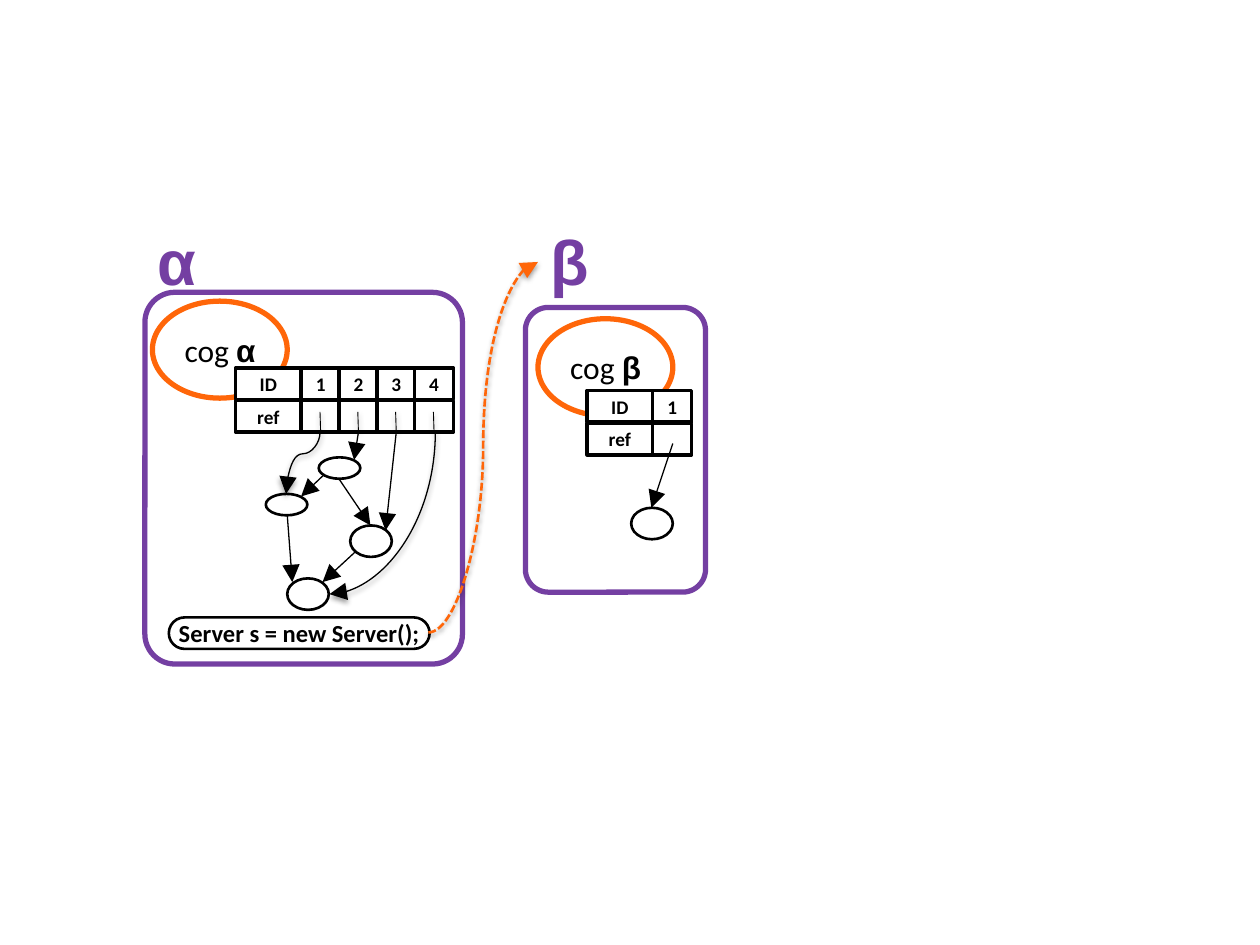
"""Build a slide of two object groups, alpha and beta, with their reference tables."""
from lxml import etree
from pptx import Presentation
from pptx.dml.color import RGBColor
from pptx.enum import dml, shapes, text
from pptx.oxml import parse_xml
from pptx.oxml.ns import nsdecls, qn
from pptx.util import Inches, Pt

COLORS = {"group": "743FA2", "cog": "FF6609", "ink": "000000", "paper": "FFFFFF"}
SHADOW = (
    f'<a:effectLst {nsdecls("a")}><a:outerShdw blurRad="39370" dist="20320" dir="5400000" rotWithShape="0">'
    '<a:srgbClr val="000000"><a:alpha val="38000"/></a:srgbClr></a:outerShdw></a:effectLst>'
)
NO_SHADOW = f'<a:effectLst {nsdecls("a")}/>'


class Diagram:
    def __init__(self, slide):
        self.slide = slide

    def color(self, name):
        return RGBColor.from_string(COLORS[name])

    def label(self, shape, runs, color="ink", align=text.PP_ALIGN.LEFT, wrap=False, **frame_format):
        frame = shape.text_frame
        settings = {"word_wrap": wrap, "vertical_anchor": text.MSO_ANCHOR.MIDDLE, **frame_format}
        for name, value in settings.items():
            setattr(frame, name, value)
        paragraph = frame.paragraphs[0]
        paragraph.alignment = align
        for words, font_name, size, bold in runs:
            run = paragraph.add_run()
            run.text = words
            for name, value in {"name": font_name, "size": Pt(size), "bold": bold}.items():
                setattr(run.font, name, value)
            run.font.color.rgb = self.color(color)

    def box(self, kind, left, top, width, height, line="ink", weight=1.5, corner=None):
        shape = self.slide.shapes.add_shape(
            kind, Inches(left), Inches(top), Inches(width), Inches(height))
        shape.shadow.inherit = False
        shape.fill.solid()
        shape.fill.fore_color.rgb = self.color("paper")
        shape.line.color.rgb = self.color(line)
        shape.line.width = Pt(weight)
        if corner is not None:
            shape.adjustments[0] = corner
        return shape

    def ellipse(self, *bounds, **style):
        return self.box(shapes.MSO_SHAPE.OVAL, *bounds, **style)

    def rounded(self, *bounds, **style):
        return self.box(shapes.MSO_SHAPE.ROUNDED_RECTANGLE, *bounds, **style)

    def group(self, *bounds, corner):
        self.rounded(*bounds, line="group", weight=3, corner=corner)

    def heading(self, letter, left, top, width, height):
        box = self.slide.shapes.add_textbox(
            Inches(left), Inches(top), Inches(width), Inches(height))
        self.label(box, [(letter, "Arial", 36, True)], "group",
                   vertical_anchor=text.MSO_ANCHOR.TOP,
                   auto_size=text.MSO_AUTO_SIZE.SHAPE_TO_FIT_TEXT)

    def cog(self, letter, left, top):
        shape = self.ellipse(left, top, 1.07, 0.77, line="cog", weight=3)
        self.label(shape, [("cog ", "Calibri", 18, False), (letter, "Arial", 18, True)])

    def cell(self, words, left, top, width):
        shape = self.box(shapes.MSO_SHAPE.RECTANGLE, left, top, width, 0.25, weight=2)
        if words:
            self.label(shape, [(words, "Calibri", 11, True)],
                       align=text.PP_ALIGN.CENTER, wrap=True)
        return shape

    def reference_table(self, left, top, count):
        self.cell("ID", left, top, 0.52)
        self.cell("ref", left, top + 0.26, 0.52)
        references = []
        for index in range(count):
            column = left + 0.52 + index * 0.3
            self.cell(str(index + 1), column, top, 0.31)
            references.append(self.cell("", column, top + 0.26, 0.31))
        return references

    def link(self, begin, end, kind=shapes.MSO_CONNECTOR.STRAIGHT, color="ink",
             weight=0.75, arrow=True, shadow=False, source=None):
        connector = self.slide.shapes.add_connector(
            kind, *(Inches(value) for value in (*begin, *end)))
        if source is not None:
            connector.begin_connect(source, 2)
        connector.line.color.rgb = self.color(color)
        connector.line.width = Pt(weight)
        if arrow:
            line = connector.line._get_or_add_ln()
            etree.SubElement(line, qn("a:tailEnd"), type="triangle", w="lg", len="lg")
        connector._element.spPr.append(parse_xml(SHADOW if shadow else NO_SHADOW))
        return connector

    def curve(self, begin, end, preset="curvedConnector3", bend=None, turned=False, **style):
        connector = self.link(begin, end, shapes.MSO_CONNECTOR.CURVE, shadow=True, **style)
        properties = connector._element.spPr
        geometry = properties.find(qn("a:prstGeom"))
        geometry.set("prst", preset)
        if bend is not None:
            guides = geometry.get_or_add_avLst()
            etree.SubElement(guides, qn("a:gd"), name="adj1", fmla=f"val {round(bend * 100000)}")
        if turned:
            properties.find(qn("a:xfrm")).set("rot", "5400000")
        return connector


def main():
    presentation = Presentation()
    presentation.slide_width, presentation.slide_height = Inches(10), Inches(7.5)
    diagram = Diagram(presentation.slides.add_slide(presentation.slide_layouts[6]))

    diagram.group(1.15, 2.32, 2.52, 2.95, corner=0.094)
    diagram.heading("α", 1.15, 1.72, 0.52, 0.71)
    diagram.group(4.17, 2.44, 1.43, 2.26, corner=0.127)
    diagram.heading("β", 4.27, 1.72, 0.48, 0.71)

    objects = [(2.11, 3.92, 0.17), (2.53, 3.63, 0.17), (2.78, 4.17, 0.25),
               (2.28, 4.59, 0.25), (5.01, 4.03, 0.25)]
    for left, top, height in objects:
        diagram.ellipse(left, top, 0.33, height)
    object_links = [((2.69, 3.8), (2.94, 4.17)), ((2.82, 4.38), (2.56, 4.62)),
                    ((2.28, 4.09), (2.32, 4.62)), ((2.57, 3.77), (2.39, 3.94))]
    for begin, end in object_links:
        diagram.link(begin, end)

    diagram.cog("β", 4.27, 2.53)
    diagram.cog("α", 1.21, 2.39)
    references = diagram.reference_table(1.87, 2.92, 4)
    diagram.reference_table(4.66, 3.1, 1)

    statement = diagram.rounded(1.34, 4.9, 2.07, 0.25, corner=0.5)
    diagram.label(statement, [("Server s = new Server();", "Calibri", 14, True)],
                  align=text.PP_ALIGN.CENTER)
    creation = diagram.curve((3.4, 5.02), (4.27, 2.08), color="cog", weight=1.5, bend=0.5)
    creation.line.dash_style = dml.MSO_LINE.SQUARE_DOT

    for index, reference in enumerate(references):
        center = 2.54 + index * 0.3
        diagram.link((center, 3.43), (center, 3.27), weight=0.5, arrow=False,
                     shadow=True, source=reference)
    diagram.link((2.85, 3.43), (2.81, 3.65), source=references[1])
    diagram.link((3.14, 3.43), (3.06, 4.21), source=references[2])
    diagram.link((5.34, 3.52), (5.17, 4.03))
    diagram.curve((2.16, 3.54), (2.65, 3.81), bend=0.35, turned=True)
    diagram.curve((2.39, 3.65), (3.68, 4.49), preset="curvedConnector2", turned=True)

    presentation.save("out.pptx")


if __name__ == "__main__":
    main()
